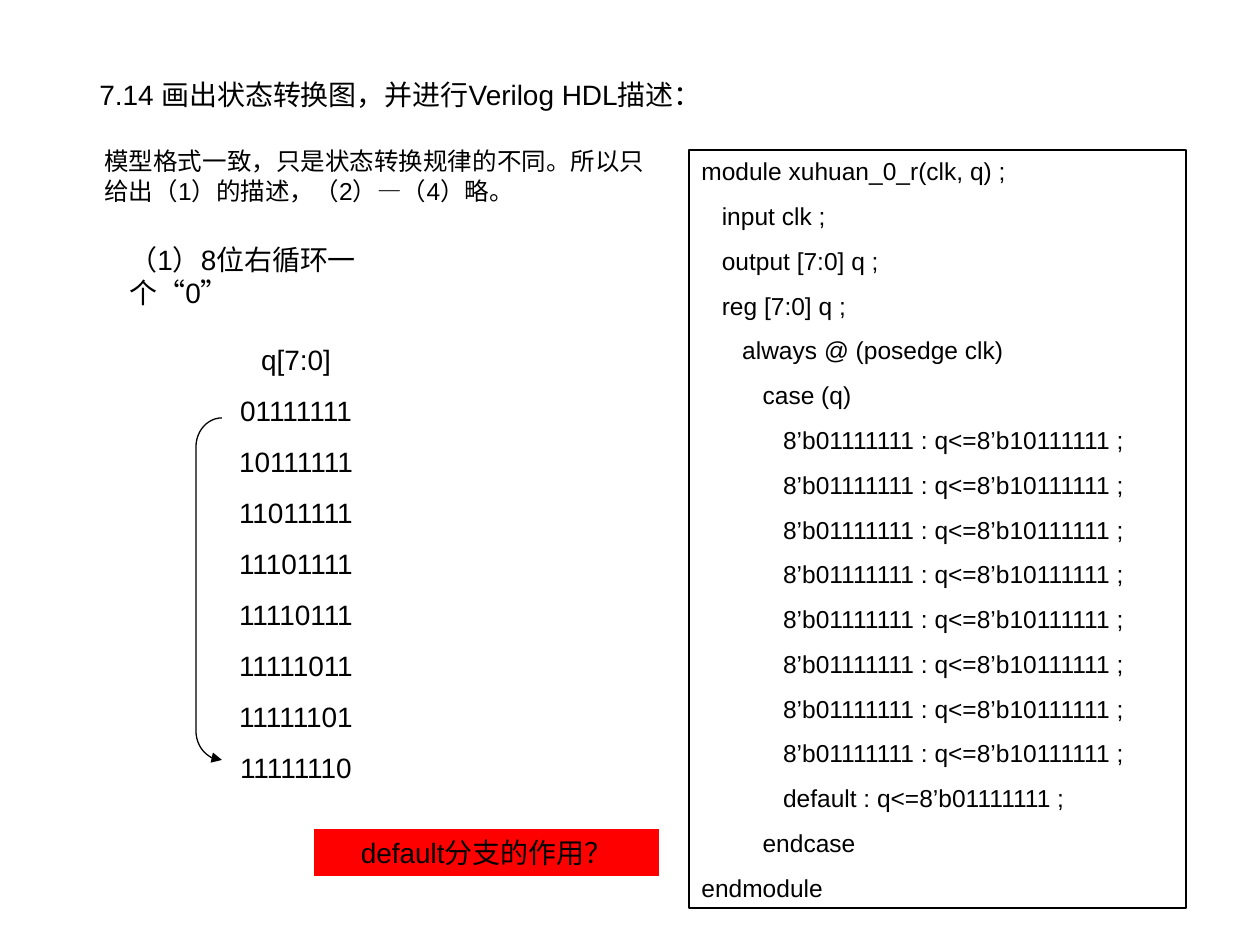
from dataclasses import dataclass

from lxml import etree
from pptx import Presentation
from pptx import util as u
from pptx.dml.color import RGBColor
from pptx.enum import shapes, text
from pptx.oxml import ns


@dataclass(frozen=True)
class Theme:
    """Colours, font, type sizes and spacing of the slide."""
    ink: RGBColor = RGBColor(0, 0, 0)
    alert: RGBColor = RGBColor(255, 0, 0)
    font: str = "Arial"
    large: int = 16
    small: int = 14
    gap: float = 0.625
    line: float = 0.75


THEME = Theme()
STATE_BITS = 8
CODE = [
    "module xuhuan_0_r(clk, q) ;",
    "   input clk ;",
    "   output [7:0] q ;",
    "   reg [7:0] q ;",
    "      always @ (posedge clk)",
    "         case (q)",
    *["            8’b01111111 : q<=8’b10111111 ;"] * STATE_BITS,
    "            default : q<=8’b01111111 ;",
    "         endcase",
    "endmodule",
]


def px(n):
    """Turn pixels at 126 to the inch into EMU."""
    return u.Emu(round(n * 914400 / 126))


def write(sp, lines, size, align=text.PP_ALIGN.LEFT):
    """Fill a shape with one evenly spaced paragraph per line."""
    tf = sp.text_frame
    tf.word_wrap = True
    tf.vertical_anchor = text.MSO_ANCHOR.TOP
    tf.text = "\n".join(lines)
    for i, p in enumerate(tf.paragraphs):
        p.alignment = align
        if i:
            p.space_before = u.Pt(round(size * THEME.gap, 1))
        for r in p.runs:
            r.font.name = THEME.font
            r.font.size = u.Pt(size)
            r.font.color.rgb = THEME.ink


def add_text(s, box, lines, size, align=text.PP_ALIGN.LEFT):
    """Add a plain text box."""
    write(s.shapes.add_textbox(*map(px, box)), lines, size, align)


def add_preset(s, kind, box, fill=None, line=None):
    """Add a flat preset shape with an optional fill and outline."""
    sp = s.shapes.add_shape(kind, *map(px, box))
    sp.shadow.inherit = False
    if fill is None:
        sp.fill.background()
    else:
        sp.fill.solid()
        sp.fill.fore_color.rgb = fill
    if line is None:
        sp.line.fill.background()
    else:
        sp.line.color.rgb = line
        sp.line.width = u.Pt(THEME.line)
    return sp


def add_loop_arrow(s, box, radius):
    """Add a rounded bracket whose lower end carries an arrowhead."""
    sp = add_preset(s, shapes.MSO_SHAPE.LEFT_BRACKET, box, line=THEME.ink)
    sp.adjustments[0] = round(radius / box[2], 2)
    ln = sp.line._get_or_add_ln()
    etree.SubElement(ln, ns.qn("a:headEnd"), type="triangle")


def main():
    """Build and save the slide."""
    prs = Presentation()
    prs.slide_width, prs.slide_height = px(1260), px(945)
    s = prs.slides.add_slide(prs.slide_layouts[6])
    center = text.PP_ALIGN.CENTER
    rect = shapes.MSO_SHAPE.RECTANGLE

    add_text(s, (87, 71, 929, 47), ["7.14 画出状态转换图，并进行Verilog HDL描述："], THEME.large)
    add_text(s, (92, 140, 566, 72),
             ["模型格式一致，只是状态转换规律的不同。所以只给出（1）的描述，（2）—（4）略。"],
             THEME.small)
    add_text(s, (117, 236, 331, 81), ["（1）8位右循环一个“0”"], THEME.large)

    states = ["1" * i + "0" + "1" * (STATE_BITS - 1 - i) for i in range(STATE_BITS)]
    add_text(s, (201, 336, 190, 455), ["q[7:0]", *states], THEME.large, center)
    add_loop_arrow(s, (196, 418, 26, 342), 29)

    code = add_preset(s, rect, (689, 150, 497, 758), line=THEME.ink)
    write(code, CODE, THEME.small)
    question = add_preset(s, rect, (314, 829, 345, 47), fill=THEME.alert)
    write(question, ["default分支的作用？"], THEME.large, center)
    prs.save("out.pptx")


if __name__ == "__main__":
    main()
